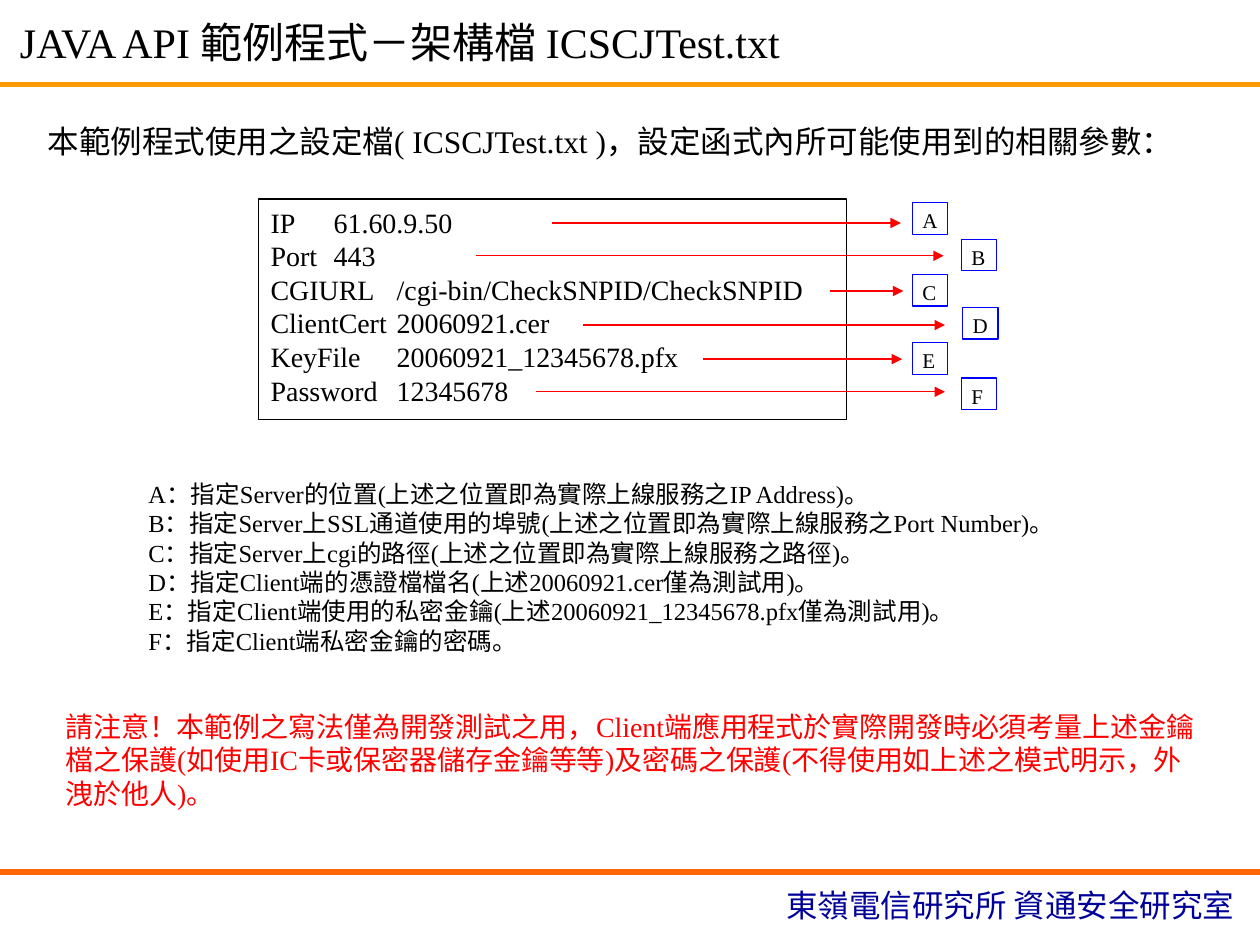
from pptx import Presentation
from pptx import util as u
from pptx.dml.color import RGBColor
from pptx.enum import shapes, text
from pptx.oxml.ns import qn
from lxml import etree

FONT = "Times New Roman"
BLACK = RGBColor(0x00, 0x00, 0x00)
WHITE = RGBColor(0xFF, 0xFF, 0xFF)
RED = RGBColor(0xFF, 0x00, 0x00)
BLUE = RGBColor(0x00, 0x00, 0xFF)
NAVY = RGBColor(0x00, 0x00, 0x99)
ORANGE = RGBColor(0xFF, 0x99, 0x00)
DARK_ORANGE = RGBColor(0xFF, 0x66, 0x00)

SETTINGS = [
    "IP\t61.60.9.50",
    "Port\t443",
    "CGIURL\t/cgi-bin/CheckSNPID/CheckSNPID",
    "ClientCert\t20060921.cer",
    "KeyFile\t20060921_12345678.pfx",
    "Password\t12345678",
]
EXPLANATIONS = [
    "A：指定Server的位置(上述之位置即為實際上線服務之IP Address)。",
    "B：指定Server上SSL通道使用的埠號(上述之位置即為實際上線服務之Port Number)。",
    "C：指定Server上cgi的路徑(上述之位置即為實際上線服務之路徑)。",
    "D：指定Client端的憑證檔檔名(上述20060921.cer僅為測試用)。",
    "E：指定Client端使用的私密金鑰(上述20060921_12345678.pfx僅為測試用)。",
    "F：指定Client端私密金鑰的密碼。",
]
WARNING = (
    "請注意！本範例之寫法僅為開發測試之用，Client端應用程式於實際開發時必須考量上述"
    "金鑰檔之保護(如使用IC卡或保密器儲存金鑰等等)及密碼之保護"
    "(不得使用如上述之模式明示，外洩於他人)。"
)
# letter, label left, label top, arrow start, arrow end, arrow height
CALLOUTS = [
    ("A", 7.24, 1.61, 4.38, 7.15, 1.77),
    ("B", 7.63, 1.9, 3.78, 7.49, 2.03),
    ("C", 7.24, 2.18, 6.59, 7.17, 2.31),
    ("D", 7.64, 2.44, 4.63, 7.5, 2.58),
    ("E", 7.24, 2.72, 5.58, 7.16, 2.85),
    ("F", 7.63, 3, 4.25, 7.5, 3.11),
]


def write_lines(shape, lines, size, color, inset=(0.1, 0.05), wrap=True,
                anchor=text.MSO_ANCHOR.TOP):
    frame = shape.text_frame
    frame.word_wrap = wrap
    frame.vertical_anchor = anchor
    frame.margin_left = frame.margin_right = u.Inches(inset[0])
    frame.margin_top = frame.margin_bottom = u.Inches(inset[1])
    frame.text = "\n".join(lines)
    for para in frame.paragraphs:
        para.alignment = text.PP_ALIGN.LEFT
        para.font.name = FONT
        para.font.size = u.Pt(size)
        para.font.color.rgb = color


def add_text(page, place, lines, size, color, **options):
    box = page.shapes.add_textbox(*map(u.Inches, place))
    write_lines(box, lines, size, color, **options)


def add_frame(page, place, lines, size, border, **options):
    box = page.shapes.add_shape(shapes.MSO_SHAPE.RECTANGLE, *map(u.Inches, place))
    box.shadow.inherit = False
    box.fill.solid()
    box.fill.fore_color.rgb = WHITE
    box.line.color.rgb = border
    box.line.width = u.Pt(0.75)
    write_lines(box, lines, size, BLACK, **options)


def add_line(page, left, right, height, color, width, arrow=False):
    line = page.shapes.add_connector(
        shapes.MSO_CONNECTOR.STRAIGHT,
        u.Inches(left), u.Inches(height), u.Inches(right), u.Inches(height))
    line.line.color.rgb = color
    line.line.width = u.Pt(width)
    if arrow:
        etree.SubElement(line.line._get_or_add_ln(), qn("a:tailEnd"), type="triangle")
    etree.SubElement(line._element.spPr, qn("a:effectLst"))


def main():
    deck = Presentation()
    deck.slide_width = u.Inches(10)
    deck.slide_height = u.Inches(7.5)
    page = deck.slides.add_slide(deck.slide_layouts[6])

    add_text(page, (6.14, 6.98, 3.83, 0.4), ["東嶺電信研究所 資通安全研究室"],
             18, NAVY, wrap=False)
    add_line(page, 0, 10, 6.92, DARK_ORANGE, 3)
    add_line(page, 0, 10, 0.67, ORANGE, 3)
    add_text(page, (0.06, 0.08, 9.92, 0.5),
             ["JAVA API 範例程式－架構檔 ICSCJTest.txt"], 24, BLACK)
    add_text(page, (0.28, 0.92, 9.27, 0.4),
             ["本範例程式使用之設定檔( ICSCJTest.txt )，設定函式內所可能使用到的相關參數："],
             18, BLACK, wrap=False)

    add_frame(page, (2.05, 1.58, 4.67, 1.75), SETTINGS, 16, BLACK)
    for letter, left, top, start, end, height in CALLOUTS:
        add_frame(page, (left, top, 0.28, 0.25), [letter], 12, BLUE, inset=(0.08, 0.04))
        add_line(page, start, end, height, RED, 0.75, arrow=True)

    add_text(page, (1.08, 3.63, 7.83, 1.74), EXPLANATIONS, 14, BLACK,
             anchor=text.MSO_ANCHOR.MIDDLE)
    add_text(page, (0.42, 5.58, 9.25, 0.9), [WARNING], 16, RED)
    deck.save("out.pptx")


if __name__ == "__main__":
    main()
